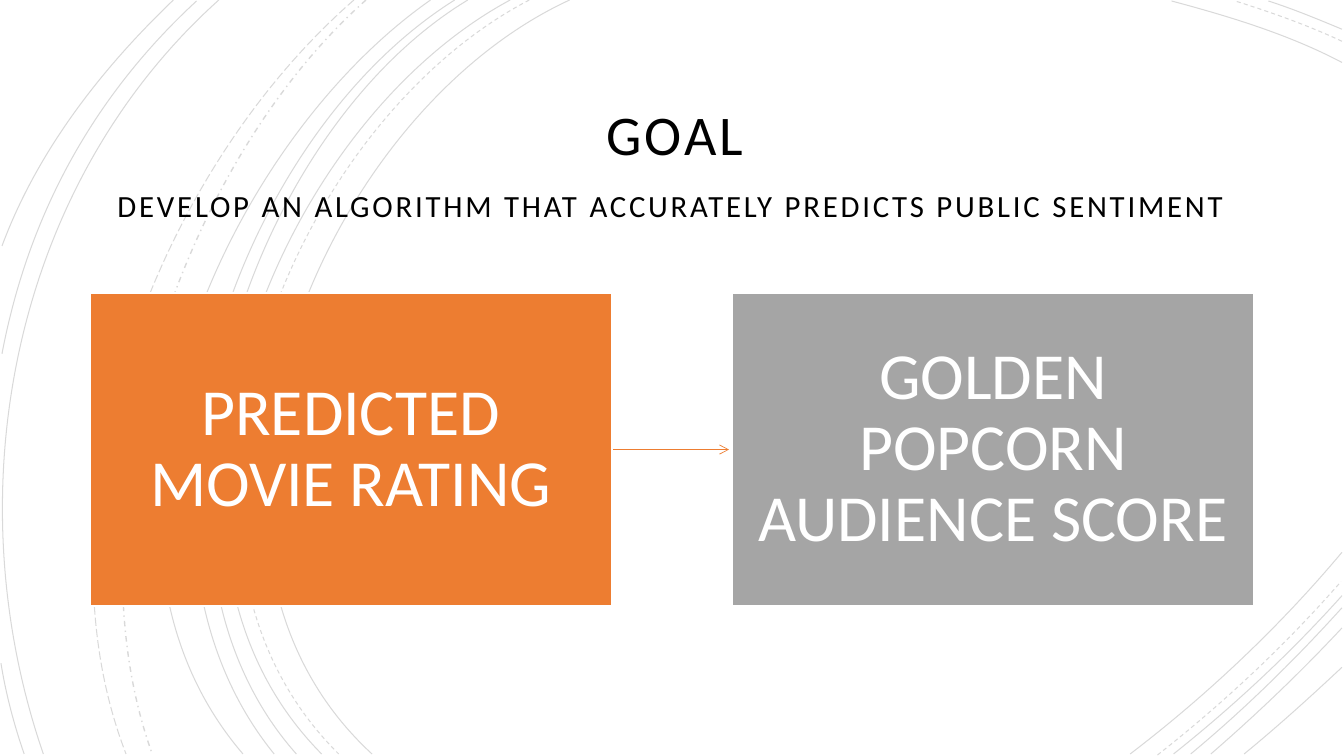
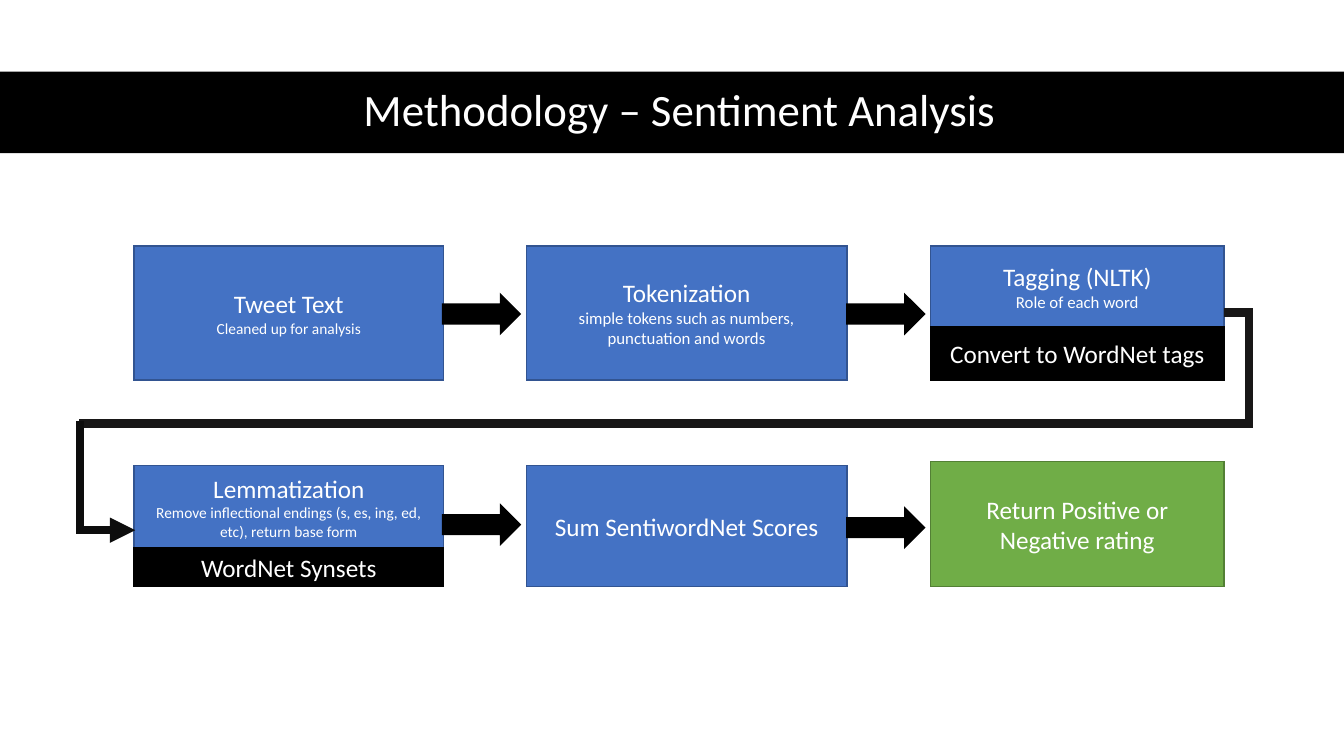
from dataclasses import dataclass

from lxml import etree
from pptx import Presentation
from pptx.dml.color import RGBColor
from pptx.enum.dml import MSO_LINE
from pptx.enum.shapes import MSO_CONNECTOR, MSO_SHAPE
from pptx.enum.text import MSO_ANCHOR, PP_ALIGN
from pptx.oxml.ns import qn
from pptx.util import Emu, Pt

EMU_PER_PX = 9144  # 100 px to the inch
SLIDE_WIDTH, SLIDE_HEIGHT = 1333, 750

RECTANGLE, RIGHT_ARROW = MSO_SHAPE.RECTANGLE, MSO_SHAPE.RIGHT_ARROW
STRAIGHT, ELBOW = MSO_CONNECTOR.STRAIGHT, MSO_CONNECTOR.ELBOW
CENTER, MIDDLE = PP_ALIGN.CENTER, MSO_ANCHOR.MIDDLE
SOLID, DASH = MSO_LINE.SOLID, MSO_LINE.DASH
DASH_DOT, LONG_DASH = MSO_LINE.DASH_DOT, MSO_LINE.LONG_DASH


@dataclass(frozen=True)
class Theme:
    font: str = "Calibri"
    black: str = "000000"
    white: str = "FFFFFF"
    orange: str = "ED7D31"
    gray: str = "A5A5A5"
    blue: str = "4472C4"
    blue_edge: str = "325491"
    green: str = "70AD47"
    green_edge: str = "538035"
    route: str = "181717"
    route_end: str = "0D0D0D"
    card_size: int = 47
    goal_size: int = 40
    band_size: int = 32
    subtitle_size: int = 22
    step_size: int = 18
    detail_size: int = 12
    small_detail_size: int = 11
    curve_opacity: int = 15


THEME = Theme()

# Background arcs: start, two control points, end, dash
ARCS = [
    ((565, 0), (315, 115), (143, 540), (369, 748), SOLID),
    ((1331, 62), (1278, 34), (1218, 16), (1162, 1), SOLID),
    ((1121, 748), (1197, 690), (1269, 622), (1331, 548), SOLID),
    ((525, 0), (285, 125), (123, 537), (336, 748), DASH),
    ((1331, 41), (1297, 25), (1260, 12), (1225, 1), DASH),
    ((1148, 749), (1213, 698), (1275, 640), (1330, 577), DASH),
    ((506, 0), (270, 127), (110, 537), (319, 748), SOLID),
    ((1331, 29), (1307, 19), (1283, 9), (1258, 1), SOLID),
    ((1164, 748), (1223, 701), (1280, 648), (1331, 591), SOLID),
    ((464, 0), (244, 133), (110, 541), (294, 748), SOLID),
    ((1181, 748), (1234, 704), (1284, 655), (1331, 603), SOLID),
    ((451, 0), (231, 138), (97, 533), (272, 748), SOLID),
    ((1201, 748), (1246, 709), (1290, 667), (1331, 623), SOLID),
    ((427, 0), (217, 147), (53, 529), (241, 748), SOLID),
    ((1234, 748), (1267, 721), (1299, 692), (1331, 662), SOLID),
    ((363, 0), (176, 166), (65, 509), (151, 748), DASH_DOT),
    ((351, 0), (157, 169), (29, 499), (125, 748), LONG_DASH),
    ((217, 0), (11, 185), (-46, 490), (43, 748), SOLID),
    ((195, 1), (92, 96), (28, 214), (2, 351), SOLID),
    ((1, 658), (6, 689), (14, 719), (24, 748), SOLID),
    ((172, 0), (100, 69), (37, 150), (2, 244), SOLID),
]


def px(value):
    return Emu(round(value * EMU_PER_PX))


def rgb(value):
    return RGBColor.from_string(value)


def apply_format(target, values):
    for name, value in values.items():
        setattr(target, name, value)


def write_text(shape, lines, color, line_spacing=None, tracking=0, inset=None):
    """Fill a shape with centred paragraphs given as (text, size) pairs."""
    frame = shape.text_frame
    apply_format(frame, {"word_wrap": True, "vertical_anchor": MIDDLE})
    if inset:
        side, edge = map(px, inset)
        apply_format(frame, {"margin_left": side, "margin_right": side,
                             "margin_top": edge, "margin_bottom": edge})
    for index, (text, size) in enumerate(lines):
        paragraph = frame.add_paragraph() if index else frame.paragraphs[0]
        apply_format(paragraph, {"alignment": CENTER, "line_spacing": line_spacing})
        run = paragraph.add_run()
        run.text = text
        apply_format(run.font, {"name": THEME.font, "size": Pt(size)})
        run.font.color.rgb = rgb(color)
        if tracking:
            run.font._element.set("spc", str(tracking * 100))


def add_text(slide, box, text, size, color, line_spacing=0.9, tracking=0):
    shape = slide.shapes.add_textbox(*map(px, box))
    write_text(shape, [(text, size)], color, line_spacing, tracking)


def draw_outline(shape, color, width):
    """Give a shape or connector a coloured line with sharp corners."""
    shape.line.color.rgb = rgb(color)
    shape.line.width = Pt(width)
    outline = shape._element.spPr.find(qn("a:ln"))
    etree.SubElement(outline, qn("a:miter"), lim="800000")
    return outline


def add_block(slide, kind, box, fill, edge=None, width=1):
    shape = slide.shapes.add_shape(kind, *map(px, box))
    shape.shadow.inherit = False
    shape.fill.solid()
    shape.fill.fore_color.rgb = rgb(fill)
    if edge:
        draw_outline(shape, edge, width)
    else:
        shape.line.fill.background()
    return shape


def add_line(slide, kind, start, end, color, width, head=None):
    connector = slide.shapes.add_connector(kind, *map(px, (*start, *end)))
    outline = draw_outline(connector, color, width)
    if head:
        etree.SubElement(outline, qn("a:tailEnd"), type=head)
    etree.SubElement(connector._element.spPr, qn("a:effectLst"))
    return connector


def curve_extent(a, b, c, d):
    """Lowest and highest value of one coordinate along a cubic curve."""
    steps = [step / 100 for step in range(101)]
    values = [a * (1 - t) ** 3 + 3 * b * t * (1 - t) ** 2
              + 3 * c * t * t * (1 - t) + d * t ** 3 for t in steps]
    return min(values), max(values)


def add_arc(slide, *arc):
    """One cubic curve as a thin translucent outline, in its tight box."""
    *points, dash = arc
    (left, right), (top, bottom) = (curve_extent(*axis) for axis in zip(*points))
    builder = slide.shapes.build_freeform(px(left), px(top))
    builder.add_line_segments([(px(right), px(bottom))], close=False)
    shape = builder.convert_to_shape()
    path = shape._element.spPr.find(".//" + qn("a:path"))
    for segment in list(path):
        path.remove(segment)
    for tag, group in (("a:moveTo", points[:1]), ("a:cubicBezTo", points[1:])):
        segment = etree.SubElement(path, qn(tag))
        for x, y in group:
            etree.SubElement(segment, qn("a:pt"), x=str(int(px(x - left))),
                             y=str(int(px(y - top))))
    shape.shadow.inherit = False
    shape.fill.background()
    shape.line.color.rgb = rgb(THEME.black)
    apply_format(shape.line, {"width": Pt(1 if dash == DASH_DOT else 0.75),
                              "dash_style": dash})
    color = shape._element.spPr.find(".//" + qn("a:srgbClr"))
    etree.SubElement(color, qn("a:alpha"), val=str(THEME.curve_opacity * 1000))


def add_goal_heading(slide, box):
    left, top, width, _ = box
    add_text(slide, (left + 104, top, 937, 70), "GOAL", THEME.goal_size,
             THEME.black, tracking=2)
    add_text(slide, (left, top + 77, width, 61),
             "DEVELOP AN ALGORITHM THAT ACCURATELY PREDICTS PUBLIC SENTIMENT",
             THEME.subtitle_size, THEME.black, line_spacing=0.7, tracking=2)


def add_goal_cards(slide, box):
    """Two cards at the ends of the box, with an arrow between them."""
    left, top, width, height = box
    card_width = 518
    middle = top + height / 2
    right_card = left + width - card_width
    add_line(slide, STRAIGHT, (left + card_width, middle), (right_card - 3, middle),
             THEME.orange, 0.5, "arrow")
    cards = [(left, "PREDICTED MOVIE RATING", THEME.orange),
             (right_card, "GOLDEN POPCORN AUDIENCE SCORE", THEME.gray)]
    for card_left, text, fill in cards:
        card = add_block(slide, RECTANGLE, (card_left, top, card_width, height),
                         fill, THEME.white, 1.5)
        write_text(card, [(text, THEME.card_size)], THEME.white, 0.9, inset=(25, 27))


def add_title_band(slide, box, text):
    left, top, width, height = box
    add_block(slide, RECTANGLE, box, THEME.black)
    add_text(slide, (left + 61, top, width - 107, height), text,
             THEME.band_size, THEME.white)


def add_step(slide, box, lines, footer=None, footer_height=0,
             fill=THEME.blue, edge=THEME.blue_edge):
    """A process step, with an optional black strip along its foot."""
    left, top, width, height = box
    body_height = height - footer_height
    body = add_block(slide, RECTANGLE, (left, top, width, body_height), fill, edge)
    write_text(body, lines, THEME.white)
    if footer:
        strip = add_block(slide, RECTANGLE,
                          (left, top + body_height, width, footer_height),
                          THEME.black, THEME.black)
        write_text(strip, [(footer, THEME.step_size)], THEME.white)


def add_row_link(slide, box):
    """Route from the end of the upper row to the start of the lower row."""
    left, top, width, height = box
    right, turn = left + width, top + 110
    overhang = 25
    route = add_line(slide, ELBOW, (right, top), (left, turn), THEME.route, 6)
    guides = route._element.spPr.find(qn("a:prstGeom")).get_or_add_avLst()
    etree.SubElement(guides, qn("a:gd"), name="adj1",
                     fmla=f"val {round(-overhang / width * 100000)}")

    # The last leg runs down and then right: a rotated two-part elbow
    drop_left, drop_top = left + 1, turn - 2
    run, drop = 55, top + height - drop_top
    center_x, center_y = drop_left + run / 2, drop_top + drop / 2
    entry = add_line(slide, ELBOW, (center_x + drop / 2, center_y - run / 2),
                     (center_x - drop / 2, center_y + run / 2),
                     THEME.route_end, 6, "triangle")
    properties = entry._element.spPr
    properties.find(qn("a:prstGeom")).set("prst", "bentConnector2")
    properties.find(qn("a:xfrm")).set("rot", str(270 * 60000))


def add_process(slide, box):
    """Two rows of three steps, joined by arrows."""
    left, top, width, _ = box
    first, second, third = (left, 307), (left + 389, 318), (left + width - 291, 291)
    lower = top + 218
    heading, detail, small = (THEME.step_size, THEME.detail_size,
                              THEME.small_detail_size)
    steps = [
        (first, top, 133, [("Tweet Text", heading),
                           ("Cleaned up for analysis", small)], {}),
        (second, top, 133,
         [("Tokenization", heading),
          ("simple tokens such as numbers, punctuation and words", detail)], {}),
        (third, top, 133, [("Tagging (NLTK)", heading), ("Role of each word", detail)],
         {"footer": "Convert to WordNet tags", "footer_height": 53}),
        (first, lower, 120,
         [("Lemmatization", heading),
          ("Remove inflectional endings (s, es, ing, ed, etc), return base form",
           small)], {"footer": "WordNet Synsets", "footer_height": 39}),
        (second, lower, 120, [("Sum SentiwordNet Scores", heading)], {}),
        (third, lower - 4, 124, [("Return Positive or Negative rating", heading)],
         {"fill": THEME.green, "edge": THEME.green_edge}),
    ]
    for (step_left, step_width), step_top, height, lines, options in steps:
        add_step(slide, (step_left, step_top, step_width, height), lines, **options)
    for arrow_left, offset in ((306, 48), (707, 48), (306, 257), (707, 260)):
        add_block(slide, RIGHT_ARROW, (left + arrow_left, top + offset, 77, 39),
                  THEME.black, THEME.black)
    add_row_link(slide, (left - 55, top + 66, width + 55, 216))


def build_goal_slide(slide):
    for arc in ARCS:
        add_arc(slide, *arc)
    add_goal_heading(slide, (97, 101, 1137, 138))
    add_goal_cards(slide, (89, 291, 1155, 310))


def build_methodology_slide(slide):
    add_title_band(slide, (0, 71, SLIDE_WIDTH, 81), "Methodology – Sentiment Analysis")
    add_process(slide, (133, 244, 1081, 338))


def main():
    presentation = Presentation()
    apply_format(presentation, {"slide_width": px(SLIDE_WIDTH),
                                "slide_height": px(SLIDE_HEIGHT)})
    blank = presentation.slide_layouts[6]
    for build in (build_goal_slide, build_methodology_slide):
        build(presentation.slides.add_slide(blank))
    presentation.save("out.pptx")


if __name__ == "__main__":
    main()
